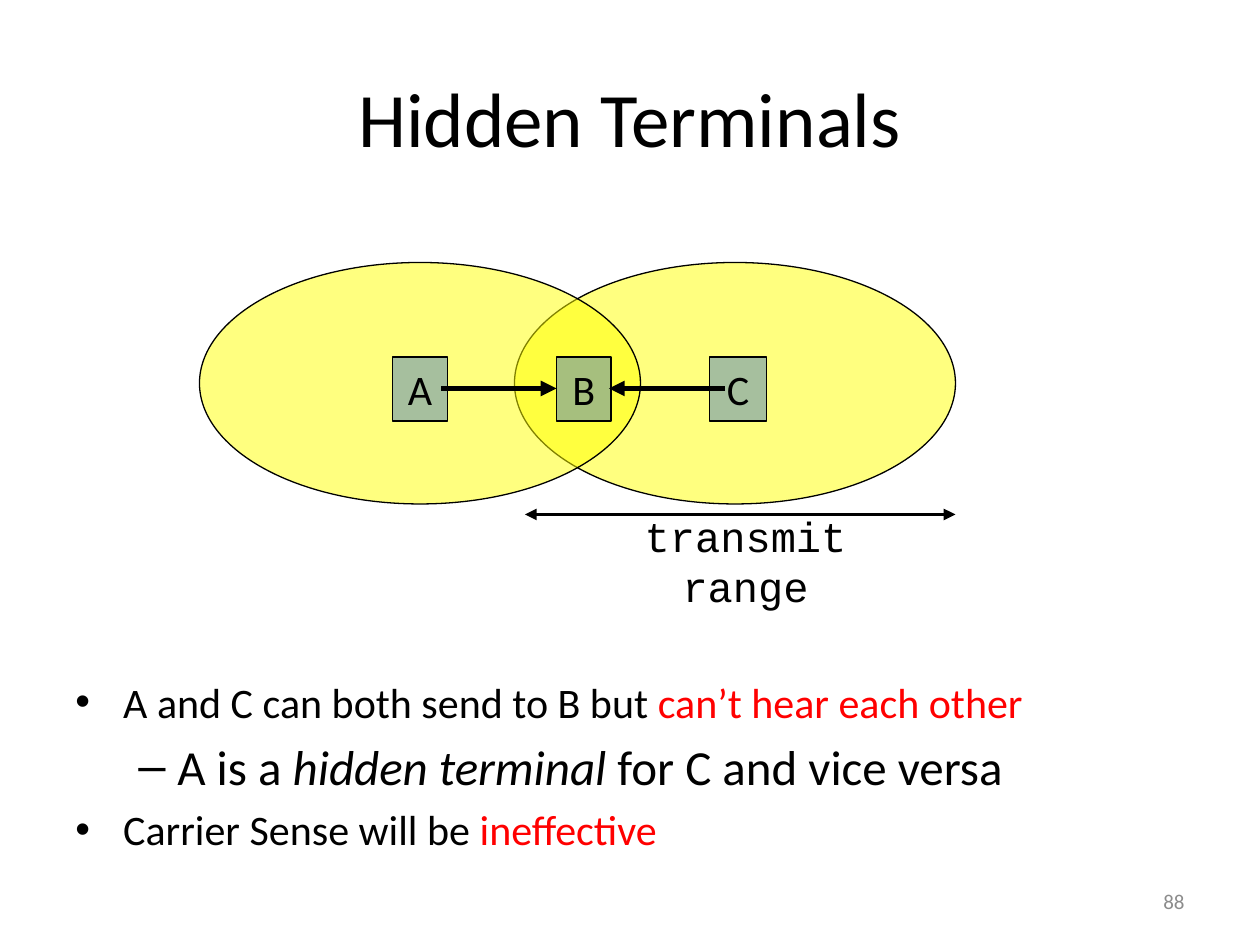
from lxml.etree import SubElement
from pptx import Presentation
from pptx.dml.color import RGBColor
from pptx.enum.shapes import MSO_CONNECTOR, MSO_SHAPE
from pptx.enum.text import MSO_ANCHOR, PP_ALIGN
from pptx.oxml.ns import qn
from pptx.util import Inches, Pt

THEME = {
    "font": "Calibri", "mono": "Courier New",
    "ink": "000000", "accent": "FF0000", "muted": "8C8C8C",
    "range": "FFFF00", "node": "4F81BD", "alpha": 50,
    "title": 44, "bullet": 24, "sub": 28, "label": 24, "number": 12, "hairline": 0.75,
}
COLS, ROWS = 120, 90

TITLE = "Hidden Terminals"
BULLETS = [
    (0, [("A and C can both send to B but ", {}),
         ("can’t hear each other", {"color": "accent"})]),
    (1, [("A is a ", {}), ("hidden terminal", {"italic": True}),
         (" for C and vice versa", {})]),
    (0, [("Carrier Sense will be ", {}), ("ineffective", {"color": "accent"})]),
]
LEVELS = [("•", "bullet", 0.38, 0.38), ("–", "sub", 0.81, 0.31)]
RANGES = [49, 19]
NODES = [("A", 37.4, 5.2), ("B", 53, 5.2), ("C", 67.6, 5.4)]
ARROWS = [
    (42, 53, 37, 3, ["tailEnd"]),
    (69, 58, 37, 3, ["tailEnd"]),
    (50, 91, 49, 2.25, ["headEnd", "tailEnd"]),
]

prs = Presentation()
prs.slide_width, prs.slide_height = Inches(10), Inches(7.5)
s = prs.slides.add_slide(prs.slide_layouts[6])


def x(col):
    return int(prs.slide_width * col / COLS)


def y(row):
    return int(prs.slide_height * row / ROWS)


def rgb(name):
    return RGBColor.from_string(THEME[name])


def add_text(p, text, size="label", color="ink", font="font", italic=False, align=None):
    if align is not None:
        p.alignment = align
    r = p.add_run()
    r.text = text
    r.font.name = THEME[font]
    r.font.size = Pt(THEME[size])
    r.font.color.rgb = rgb(color)
    r.font.italic = italic


def add_box(col, row, width, height, anchor=MSO_ANCHOR.TOP):
    tf = s.shapes.add_textbox(x(col), y(row), x(width), y(height)).text_frame
    tf.word_wrap = True
    tf.vertical_anchor = anchor
    return tf


def add_shape(kind, col, row, width, height, fill):
    sp = s.shapes.add_shape(kind, x(col), y(row), x(width), y(height))
    sp.shadow.inherit = False
    sp.fill.solid()
    sp.fill.fore_color.rgb = rgb(fill)
    color = sp.fill._xPr.find(qn("a:solidFill"))[0]
    SubElement(color, qn("a:alpha"), val=str(THEME["alpha"] * 1000))
    sp.line.color.rgb = rgb("ink")
    sp.line.width = Pt(THEME["hairline"])
    return sp


def add_arrow(start, end, row, width, heads):
    c = s.shapes.add_connector(MSO_CONNECTOR.STRAIGHT, x(start), y(row), x(end), y(row))
    c.line.color.rgb = rgb("ink")
    c.line.width = Pt(width)
    for head in heads:
        SubElement(c.line._ln, qn(f"a:{head}"), type="triangle")
    SubElement(c._element.spPr, qn("a:effectLst"))


def add_bullet(p, level, runs, first):
    char, size, left, hang = LEVELS[level]
    p.level = level
    p.space_before = Pt(0 if first else THEME[size] * 0.2)
    pPr = p._p.get_or_add_pPr()
    pPr.set("marL", str(Inches(left)))
    pPr.set("indent", str(-Inches(hang)))
    SubElement(pPr, qn("a:buFont"), typeface="Arial")
    SubElement(pPr, qn("a:buChar"), char=char)
    for text, style in runs:
        add_text(p, text, size=size, **style)


tf = add_box(6, 63.8, 108, 16.6)
for i, (level, runs) in enumerate(BULLETS):
    p = tf.add_paragraph() if i else tf.paragraphs[0]
    add_bullet(p, level, runs, first=i == 0)

tf = add_box(6, 3.6, 108, 15, MSO_ANCHOR.MIDDLE)
add_text(tf.paragraphs[0], TITLE, size="title", align=PP_ALIGN.CENTER)

for col in RANGES:
    add_shape(MSO_SHAPE.OVAL, col, 25, 42, 23, "range")

for name, col, width in NODES:
    tf = add_shape(MSO_SHAPE.RECTANGLE, col, 34, width, 6.1, "node").text_frame
    tf.word_wrap = False
    tf.vertical_anchor = MSO_ANCHOR.MIDDLE
    add_text(tf.paragraphs[0], name, align=PP_ALIGN.CENTER)

for arrow in ARROWS:
    add_arrow(*arrow)

tf = add_box(57, 48, 28, 6)
add_text(tf.paragraphs[0], "transmit range", font="mono", align=PP_ALIGN.CENTER)

tf = add_box(86, 83.4, 28, 4.8, MSO_ANCHOR.MIDDLE)
add_text(tf.paragraphs[0], "88", size="number", color="muted", align=PP_ALIGN.RIGHT)

prs.save("out.pptx")
